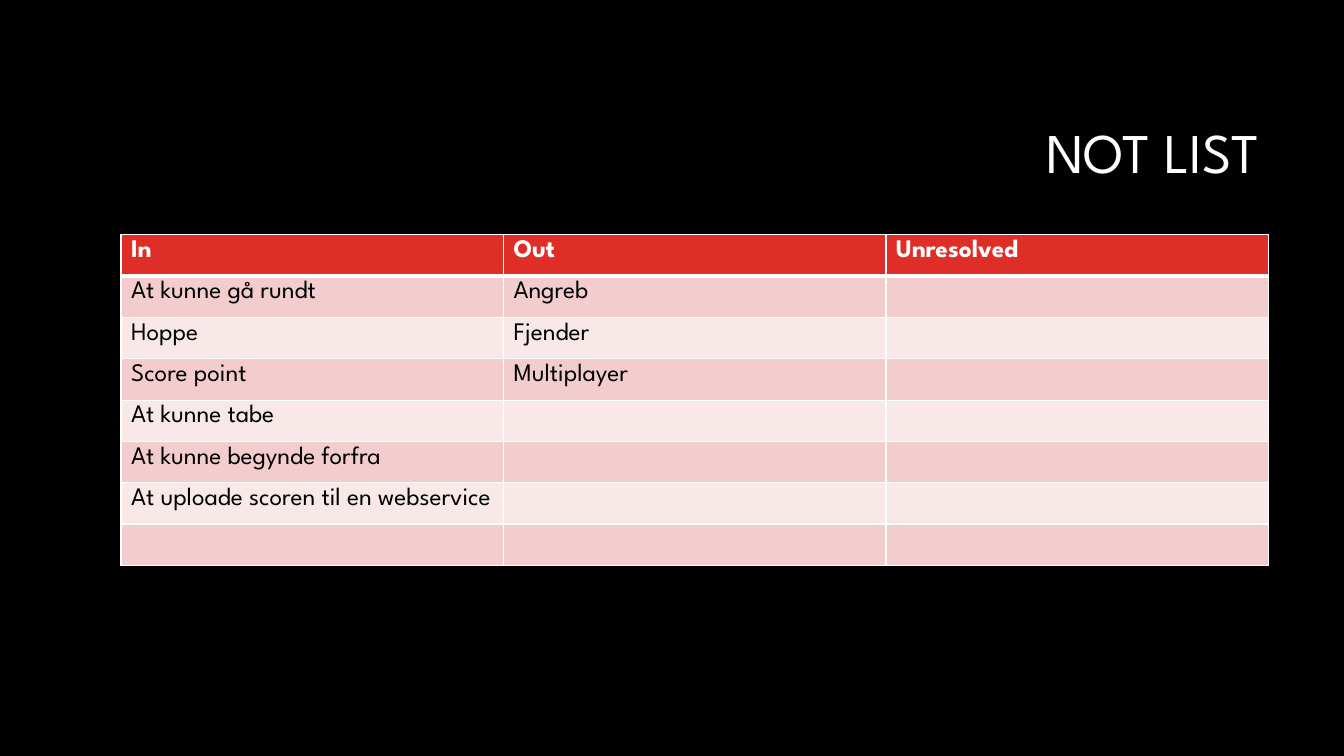
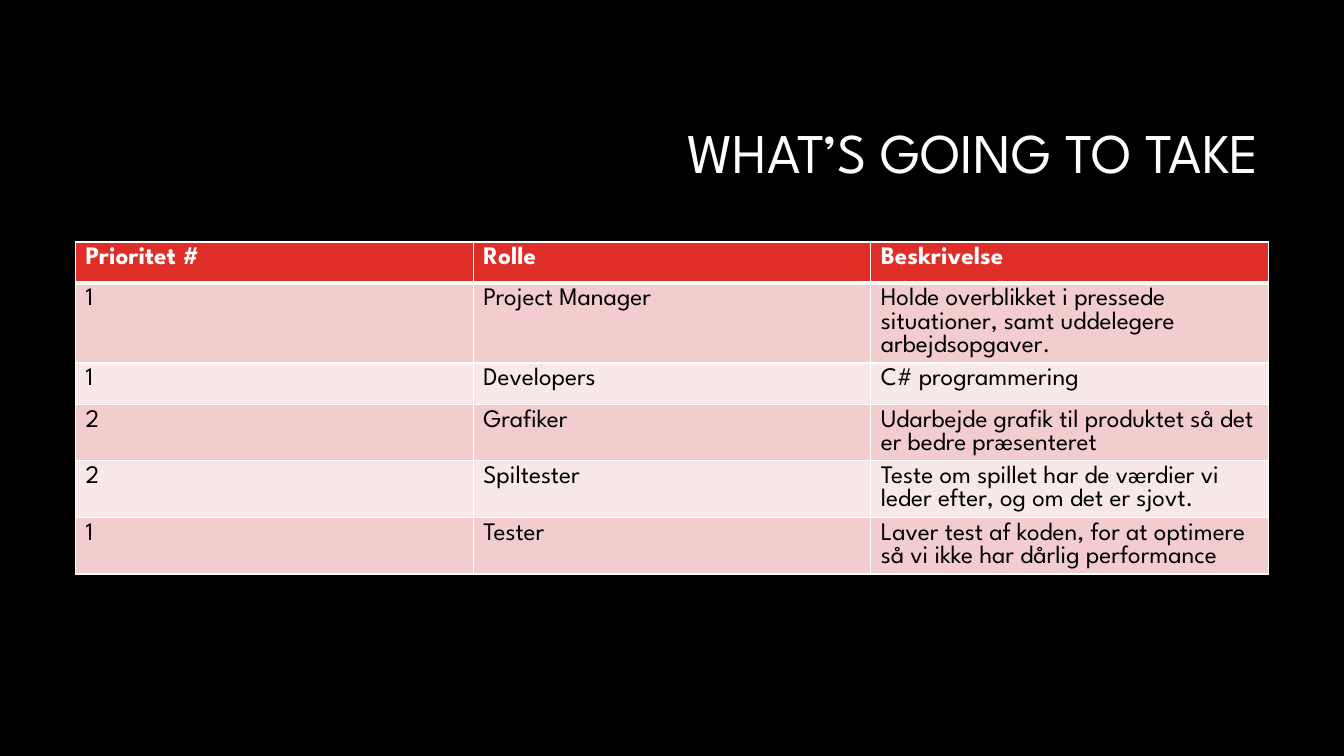
from lxml import etree
from pptx import Presentation
from pptx.dml.color import RGBColor
from pptx.enum.text import MSO_ANCHOR as ANCHOR, PP_ALIGN as ALIGN
from pptx.oxml.ns import qn
from pptx.util import Inches, Pt

FONT = "League Spartan"
BLACK, WHITE, RED = "000000", "FFFFFF", "DF2E28"
BANDS = ["F9E8E8", "F3CDCD"]
ROW_H = 0.41

SLIDES = [
    ("NOT LIST", 1.2, 2.33, 11.38, [
        ["In", "Out", "Unresolved"],
        ["At kunne gå rundt", "Angreb", ""],
        ["Hoppe", "Fjender", ""],
        ["Score point", "Multiplayer", ""],
        ["At kunne tabe", "", ""],
        ["At kunne begynde forfra", "", ""],
        ["At uploade scoren til en webservice", "", ""],
        ["", "", ""],
    ]),
    ("WHAT’S GOING TO TAKE", 0.75, 2.4, 11.83, [
        ["Prioritet #", "Rolle", "Beskrivelse"],
        ["1", "Project Manager",
         "Holde overblikket i pressede situationer, samt uddelegere arbejdsopgaver."],
        ["1", "Developers", "C# programmering"],
        ["2", "Grafiker", "Udarbejde grafik til produktet så det er bedre præsenteret"],
        ["2", "Spiltester",
         "Teste om spillet har de værdier vi leder efter, og om det er sjovt."],
        ["1", "Tester",
         "Laver test af koden, for at optimere så vi ikke har dårlig performance"],
    ]),
]


def paint(fmt, color):
    fmt.solid()
    fmt.fore_color.rgb = RGBColor.from_string(color)


def add_run(p, text, size, color, bold=False):
    r = p.add_run()
    r.text = text
    r.font.name = FONT
    r.font.size = Pt(size)
    r.font.bold = bold
    paint(r.font.fill, color)


prs = Presentation()
prs.slide_width, prs.slide_height = Inches(13.33), Inches(7.5)
paint(prs.slide_master.background.fill, BLACK)

for title, left, top, width, rows in SLIDES:
    s = prs.slides.add_slide(prs.slide_layouts[5])
    sp = s.shapes.title
    sp.left, sp.top = Inches(3.17), Inches(0.84)
    sp.width, sp.height = Inches(9.42), Inches(1.41)
    tf = sp.text_frame
    tf.word_wrap = True
    tf.vertical_anchor = ANCHOR.MIDDLE
    p = tf.paragraphs[0]
    p.alignment = ALIGN.RIGHT
    p.line_spacing = 0.9
    add_run(p, title, 40, WHITE)

    table = s.shapes.add_table(len(rows), len(rows[0]), Inches(left), Inches(top),
                               Inches(width), Inches(ROW_H * len(rows))).table
    for i, texts in enumerate(rows):
        table.rows[i].height = Inches(ROW_H)
        header = i == 0
        for j, text in enumerate(texts):
            cell = table.cell(i, j)
            paint(cell.fill, RED if header else BANDS[i % 2])
            if text:
                add_run(cell.text_frame.paragraphs[0], text, 18,
                        WHITE if header else BLACK, header)
            tcPr = cell._tc.get_or_add_tcPr()
            for k, side in enumerate("LRTB"):
                thick = (i, side) in [(0, "B"), (1, "T")]
                ln = etree.Element(qn("a:ln" + side), w=str(Pt(3 if thick else 1)))
                fill = etree.SubElement(ln, qn("a:solidFill"))
                etree.SubElement(fill, qn("a:srgbClr"), val=WHITE)
                tcPr.insert(k, ln)

prs.save("out.pptx")
